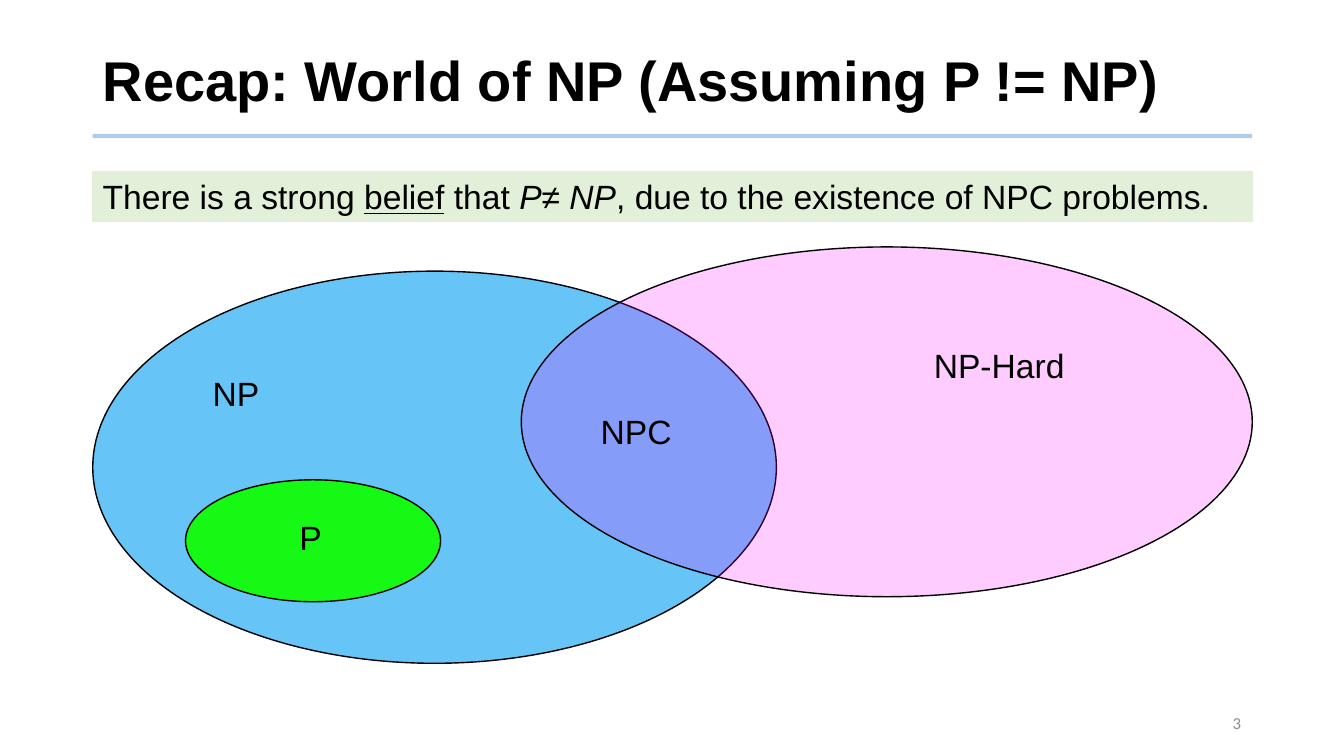
from lxml import etree
from pptx import Presentation
from pptx.dml.color import RGBColor
from pptx.enum import shapes, text
from pptx.oxml import ns
from pptx.util import Inches, Pt

LEFT, WIDTH = 0.92, 11.5
BLACK = "000000"


def color(hex_value):
    return RGBColor.from_string(hex_value)


def inches(box):
    return [Inches(length) for length in box]


def set_alpha(paint, percent):
    rgb = paint._xPr.find(".//" + ns.qn("a:srgbClr"))
    etree.SubElement(rgb, ns.qn("a:alpha")).set("val", str(percent * 1000))


def write(frame, runs, size=24, font="Arial", fill=BLACK, bold=False,
          align=text.PP_ALIGN.LEFT, anchor=text.MSO_ANCHOR.MIDDLE, wrap=True, spacing=1.0):
    frame.word_wrap = wrap
    frame.auto_size = text.MSO_AUTO_SIZE.NONE
    frame.vertical_anchor = anchor
    paragraph = frame.paragraphs[0]
    paragraph.alignment = align
    paragraph.line_spacing = spacing
    for words, style in runs:
        run = paragraph.add_run()
        run.text = words
        run.font.size = Pt(size)
        run.font.name = font
        run.font.bold = bold
        run.font.italic = style == "italic"
        run.font.underline = style == "underline"
        run.font.color.rgb = color(fill)


def add_filled(slide, kind, box, fill, line=BLACK, opacity=100):
    shape = slide.shapes.add_shape(kind, *inches(box))
    shape.shadow.inherit = False
    shape.fill.solid()
    shape.fill.fore_color.rgb = color(fill)
    if opacity < 100:
        set_alpha(shape.fill, opacity)
    shape.line.color.rgb = color(line)
    shape.line.width = Pt(1)
    return shape


def add_heading(slide, box):
    left, top, width, height = box
    rule_y = top + height - 0.03
    rule = slide.shapes.add_connector(
        shapes.MSO_CONNECTOR.STRAIGHT, *inches((left, rule_y, left + width, rule_y)))
    rule.line.color.rgb = color("5B9BD5")
    rule.line.width = Pt(3)
    set_alpha(rule.line.fill, 50)
    etree.SubElement(rule._element.spPr, ns.qn("a:effectLst"))

    title = slide.shapes.title
    title.left, title.top, title.width, title.height = inches(box)
    write(title.text_frame, [("Recap: World of NP (Assuming P != NP)", None)],
          size=40, bold=True, spacing=0.9)


def add_belief(slide, box):
    banner = add_filled(slide, shapes.MSO_SHAPE.RECTANGLE, box, "E2F0D9", line="E2F0D9")
    write(banner.text_frame, [
        ("There is a strong ", None),
        ("belief", "underline"),
        (" that ", None),
        ("P≠ NP", "italic"),
        (", due to the existence of NPC problems.", None),
    ], anchor=text.MSO_ANCHOR.TOP)


def add_classes(slide, box):
    left, top, width, height = box
    ellipses = [
        ((0, 0.24, 6.78, 3.89), "67C4F7", 100),
        ((0.92, 2.31, 2.53, 1.21), "15F915", 100),
        ((width - 7.25, 0, 7.25, 3.47), "FF00FF", 20),
    ]
    for (x, y, w, h), fill, opacity in ellipses:
        add_filled(slide, shapes.MSO_SHAPE.OVAL, (left + x, top + y, w, h),
                   fill, opacity=opacity)

    labels = [("NP", 1.42, 1.2), ("P", 2.16, 2.63), ("NP-Hard", 8.99, 0.92), ("NPC", 5.39, 1.58)]
    label_width, label_height = 1.6, 0.5
    for name, center, y in labels:
        label = slide.shapes.add_textbox(*inches(
            (left + center - label_width / 2, top + y, label_width, label_height)))
        write(label.text_frame, [(name, None)], align=text.PP_ALIGN.CENTER)


def add_page_number(slide, box):
    number = slide.shapes.add_textbox(*inches(box))
    write(number.text_frame, [("3", None)], size=12, font="Calibri", fill="8C8C8C",
          align=text.PP_ALIGN.RIGHT)


def main():
    deck = Presentation()
    deck.slide_width, deck.slide_height = Inches(13.33), Inches(7.5)
    slide = deck.slides.add_slide(deck.slide_layouts[5])
    add_heading(slide, (LEFT, 0.28, WIDTH, 1.1))
    add_classes(slide, (LEFT, 2.45, WIDTH, 4.13))
    add_belief(slide, (LEFT, 1.7, WIDTH, 0.5))
    add_page_number(slide, (10.08, 6.97, 2.33, 0.4))
    deck.save("out.pptx")


if __name__ == "__main__":
    main()
